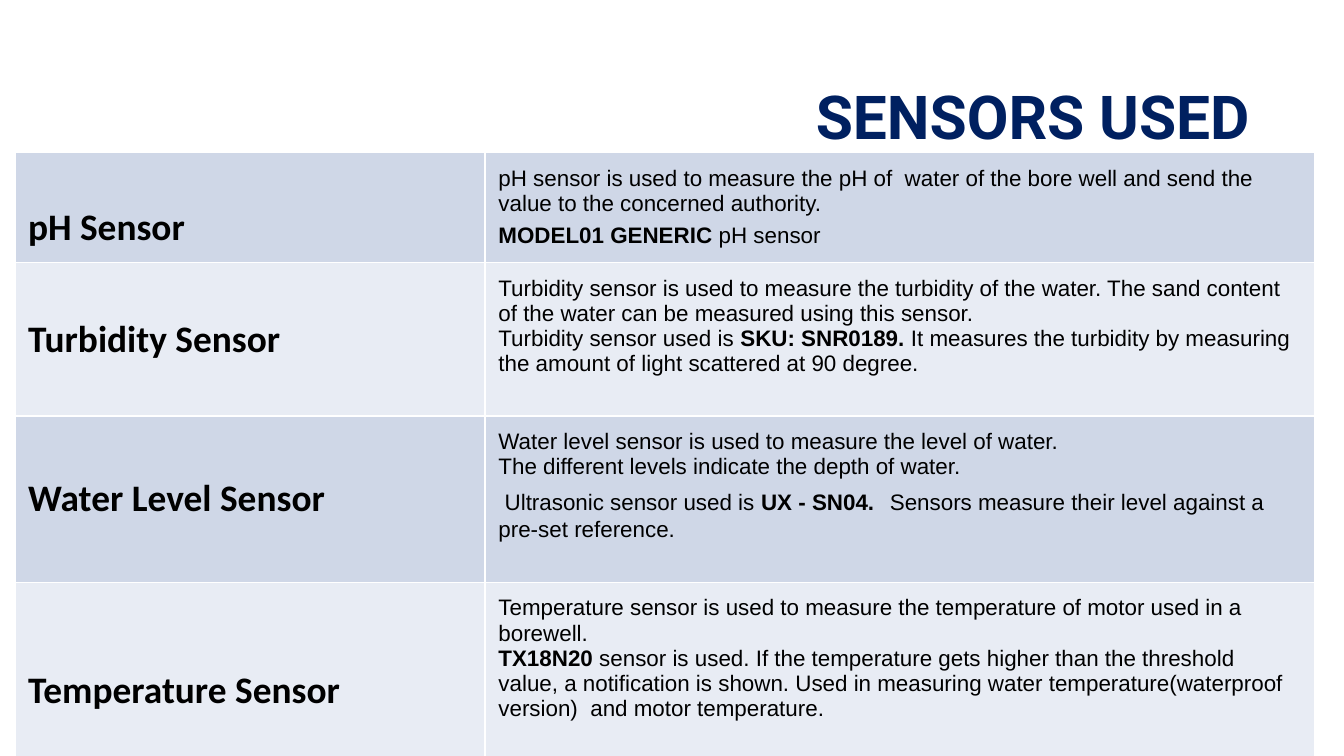
from lxml.etree import SubElement
from pptx import Presentation
from pptx.dml.color import RGBColor
from pptx.enum.text import MSO_ANCHOR as Anchor, MSO_AUTO_SIZE as AutoSize, PP_ALIGN as Align
from pptx.oxml.ns import qn
from pptx.util import Cm, Pt

NAVY = RGBColor(0x00, 0x20, 0x60)
BLACK = RGBColor(0x00, 0x00, 0x00)
WHITE = RGBColor(0xFF, 0xFF, 0xFF)
BANDS = RGBColor(0xCF, 0xD7, 0xE7), RGBColor(0xE8, 0xEC, 0xF4)

# Content: label, row height in cm, paragraphs of (text, format) spans
TITLE = "SENSORS USED "
BOLD = {"bold": True}
SENSORS = [
    ("pH Sensor", 2.08, [
        [("pH sensor is used to measure the pH of  water of the bore well "
          "and send the value to the concerned authority.", {})],
        [("MODEL01 GENERIC ", BOLD), ("pH sensor", {})],
    ]),
    ("Turbidity Sensor", 2.9, [
        [("Turbidity sensor is used to measure the turbidity of the water. "
          "The sand content of the water can be measured using this sensor.", {})],
        [("Turbidity sensor used is ", {}), ("SKU: SNR0189.", BOLD),
         (" It measures the turbidity by measuring the amount of light "
          "scattered at 90 degree.", {})],
    ]),
    ("Water Level Sensor", 3.14, [
        [("Water level sensor is used to measure the level of water.", {})],
        [("The different levels indicate the depth of water.", {})],
        [(" Ultrasonic sensor used is ", {}), ("UX - SN04. ", BOLD),
         (" ", {"size": 18}),
         ("Sensors measure their level against a pre-set reference.", {})],
    ]),
    ("Temperature Sensor", 4.08, [
        [("Temperature sensor is used to measure the temperature of motor "
          "used in a borewell.", {})],
        [("TX18N20", BOLD),
         (" sensor is used. If the temperature gets higher than the threshold "
          "value, a notification is shown. Used in measuring water "
          "temperature(waterproof version)  and motor temperature.", {})],
    ]),
]
COLUMN_WIDTHS = 8.89, 15.67


def add_span(para, text, font="Arial", size=12, bold=False, color=BLACK):
    span = para.add_run()
    span.text = text
    span.font.name = font
    span.font.size = Pt(size)
    span.font.bold = bold
    span.font.color.rgb = color


def format_cell(cell, color, anchor):
    cell.margin_left = cell.margin_right = Cm(0.25)
    cell.margin_top = cell.margin_bottom = Cm(0.25)
    cell.vertical_anchor = anchor
    properties = cell._tc.get_or_add_tcPr()
    for side in ("a:lnL", "a:lnR", "a:lnT", "a:lnB"):
        line = SubElement(properties, qn(side), w=str(Pt(1)))
        fill = SubElement(line, qn("a:solidFill"))
        SubElement(fill, qn("a:srgbClr"), val=str(WHITE))
    cell.fill.solid()
    cell.fill.fore_color.rgb = color


deck = Presentation()
deck.slide_width, deck.slide_height = Cm(25.4), Cm(14.28)
page = deck.slides.add_slide(deck.slide_layouts[5])

# Title
title = page.shapes.title
title.left, title.top, title.width, title.height = Cm(1.68), Cm(1.65), Cm(22.48), Cm(1.07)
frame = title.text_frame
frame.word_wrap = True
frame.auto_size = AutoSize.NONE
frame.vertical_anchor = Anchor.MIDDLE
frame.paragraphs[0].alignment = Align.RIGHT
add_span(frame.paragraphs[0], TITLE, font="Roboto", size=32.4, bold=True, color=NAVY)

# Sensor table
table = page.shapes.add_table(
    len(SENSORS), len(COLUMN_WIDTHS), Cm(0.28), Cm(2.88),
    Cm(sum(COLUMN_WIDTHS)), Cm(sum(height for _, height, _ in SENSORS))).table
table.first_row = False
for column, width in zip(table.columns, COLUMN_WIDTHS):
    column.width = Cm(width)

for index, (label, height, details) in enumerate(SENSORS):
    table.rows[index].height = Cm(height)
    name_cell, detail_cell = table.cell(index, 0), table.cell(index, 1)
    format_cell(name_cell, BANDS[index % 2], Anchor.MIDDLE)
    format_cell(detail_cell, BANDS[index % 2], Anchor.TOP)
    add_span(name_cell.text_frame.paragraphs[0], label, font="Calibri", size=20, bold=True)
    frame = detail_cell.text_frame
    for number, spans in enumerate(details):
        para = frame.add_paragraph() if number else frame.paragraphs[0]
        for text, style in spans:
            add_span(para, text, **style)

# The first row sits lower: double-spaced label, gap before the model
first_label = table.cell(0, 0)
first_label.vertical_anchor = Anchor.TOP
first_label.margin_top = first_label.margin_bottom = Cm(0.13)
first_label.text_frame.paragraphs[0].line_spacing = 2.0
table.cell(0, 1).text_frame.paragraphs[1].space_before = Pt(4)

deck.save("out.pptx")
